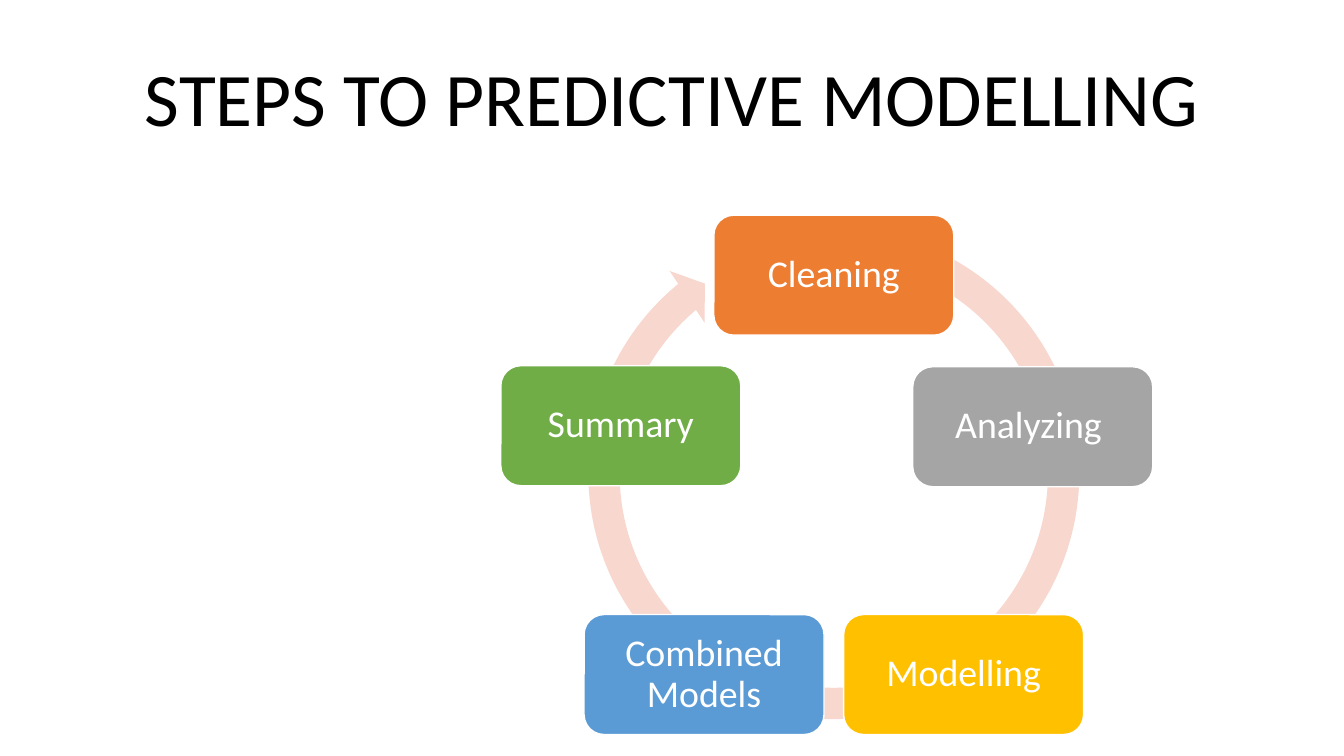
from math import cos, pi, sin

from pptx import Presentation
from pptx.dml.color import RGBColor
from pptx.enum.shapes import MSO_SHAPE
from pptx.enum.text import MSO_ANCHOR, PP_ALIGN
from pptx.util import Inches, Pt

WHITE = RGBColor(0xFF, 0xFF, 0xFF)
BLACK = RGBColor(0x00, 0x00, 0x00)
ORANGE = RGBColor(0xED, 0x7D, 0x31)
GRAY = RGBColor(0xA5, 0xA5, 0xA5)
GOLD = RGBColor(0xFF, 0xC0, 0x00)
BLUE = RGBColor(0x5B, 0x9B, 0xD5)
GREEN = RGBColor(0x70, 0xAD, 0x47)
PINK = RGBColor(0xF8, 0xD7, 0xCE)

TITLE = "STEPS TO PREDICTIVE MODELLING"
STEPS = [
    ("Cleaning", ORANGE, (0, 0)),
    ("Analyzing ", GRAY, (-0.11, -0.01)),
    ("Modelling", GOLD, (0, 0)),
    ("Combined Models", BLUE, (0, 0)),
    ("Summary", GREEN, (-0.03, -0.02)),
]

SLIDE_WIDTH, SLIDE_HEIGHT = 13.33, 7.5
CENTER_X, CENTER_Y, RADIUS = 8.27, 4.92, 2.19
BOX_WIDTH, BOX_HEIGHT = 2.38, 1.19
ARROW_TOP, ARROW_SIZE = 2.11, 5.18
ARROW_ADJUSTMENTS = [0.06, 3.31, 138.2, 173.59, 0.06]
BOX_FRAME = {
    "word_wrap": True,
    "vertical_anchor": MSO_ANCHOR.MIDDLE,
    "margin_left": Inches(0.17),
    "margin_right": Inches(0.17),
    "margin_top": Inches(0.17),
    "margin_bottom": Inches(0.17),
}


def set_attributes(target, values):
    for name, value in values.items():
        setattr(target, name, value)


def write_text(shape, text, size, color, frame_format, line_spacing):
    set_attributes(shape.text_frame, frame_format)
    paragraph = shape.text_frame.paragraphs[0]
    set_attributes(paragraph, {
        "alignment": PP_ALIGN.CENTER, "line_spacing": line_spacing})
    run = paragraph.add_run()
    run.text = text
    set_attributes(run.font, {"name": "Calibri", "size": Pt(size)})
    run.font.color.rgb = color


def add_filled(slide, kind, box, color):
    shape = slide.shapes.add_shape(kind, *map(Inches, box))
    shape.shadow.inherit = False
    shape.fill.solid()
    shape.fill.fore_color.rgb = color
    return shape


def add_cycle_arrow(slide):
    box = (CENTER_X - ARROW_SIZE / 2, ARROW_TOP, ARROW_SIZE, ARROW_SIZE)
    arrow = add_filled(slide, MSO_SHAPE.CIRCULAR_ARROW, box, PINK)
    arrow.line.fill.background()
    for index, value in enumerate(ARROW_ADJUSTMENTS):
        arrow.adjustments[index] = value


def add_step(slide, index, text, color, nudge):
    angle = 2 * pi * index / len(STEPS)
    left = CENTER_X + RADIUS * sin(angle) + nudge[0] - BOX_WIDTH / 2
    top = CENTER_Y - RADIUS * cos(angle) + nudge[1] - BOX_HEIGHT / 2
    box = (left, top, BOX_WIDTH, BOX_HEIGHT)
    step = add_filled(slide, MSO_SHAPE.ROUNDED_RECTANGLE, box, color)
    step.line.color.rgb = WHITE
    step.line.width = Pt(1)
    write_text(step, text, 27, WHITE, BOX_FRAME, 0.9)


def main():
    presentation = Presentation()
    presentation.slide_width = Inches(SLIDE_WIDTH)
    presentation.slide_height = Inches(SLIDE_HEIGHT)
    slide = presentation.slides.add_slide(presentation.slide_layouts[6])
    add_cycle_arrow(slide)
    for index, step in enumerate(STEPS):
        add_step(slide, index, *step)
    title = slide.shapes.add_textbox(*map(Inches, (1.28, 0.46, 10.77, 1.01)))
    write_text(title, TITLE, 54, BLACK, {"word_wrap": False}, 1.0)
    presentation.save("out.pptx")


if __name__ == "__main__":
    main()
